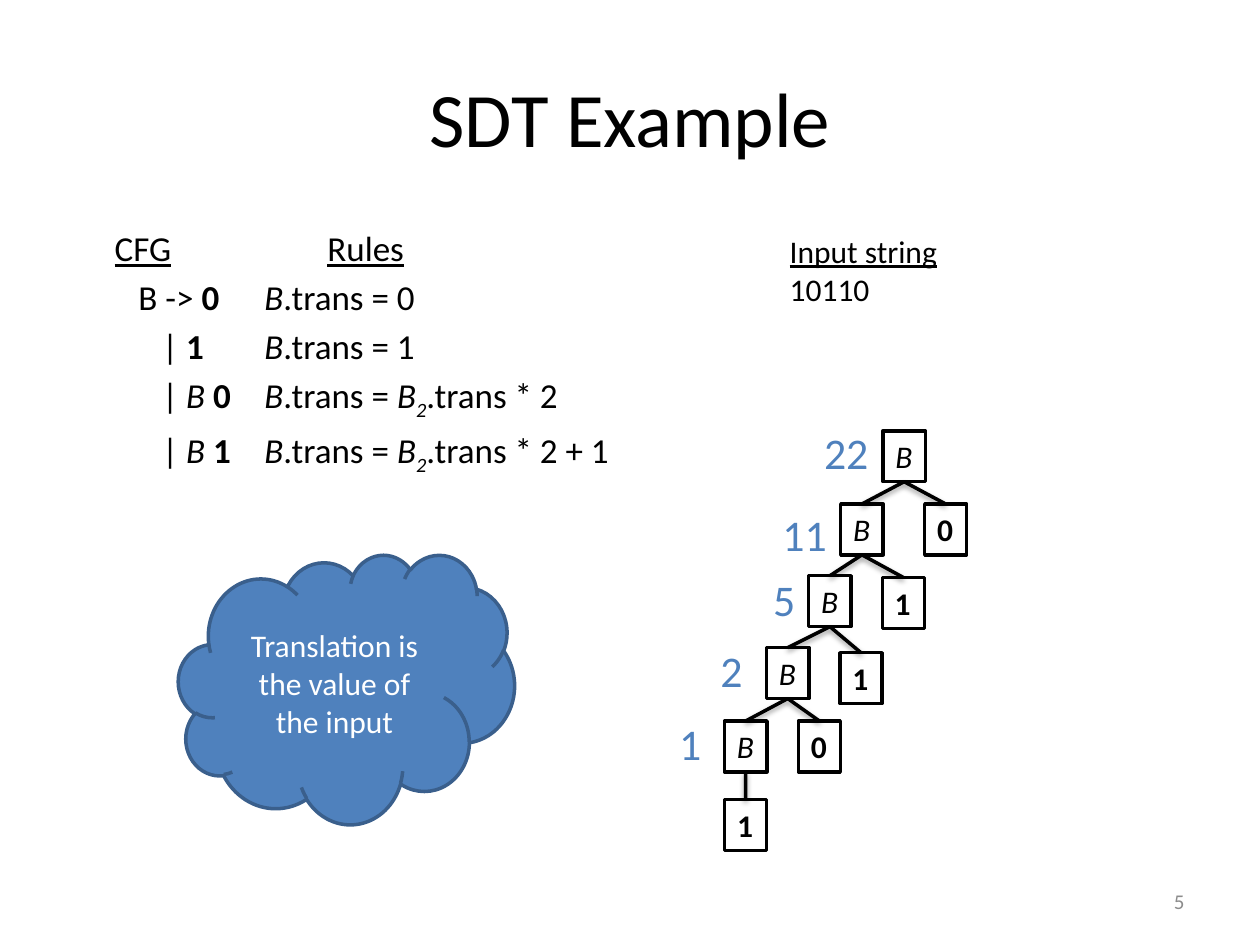
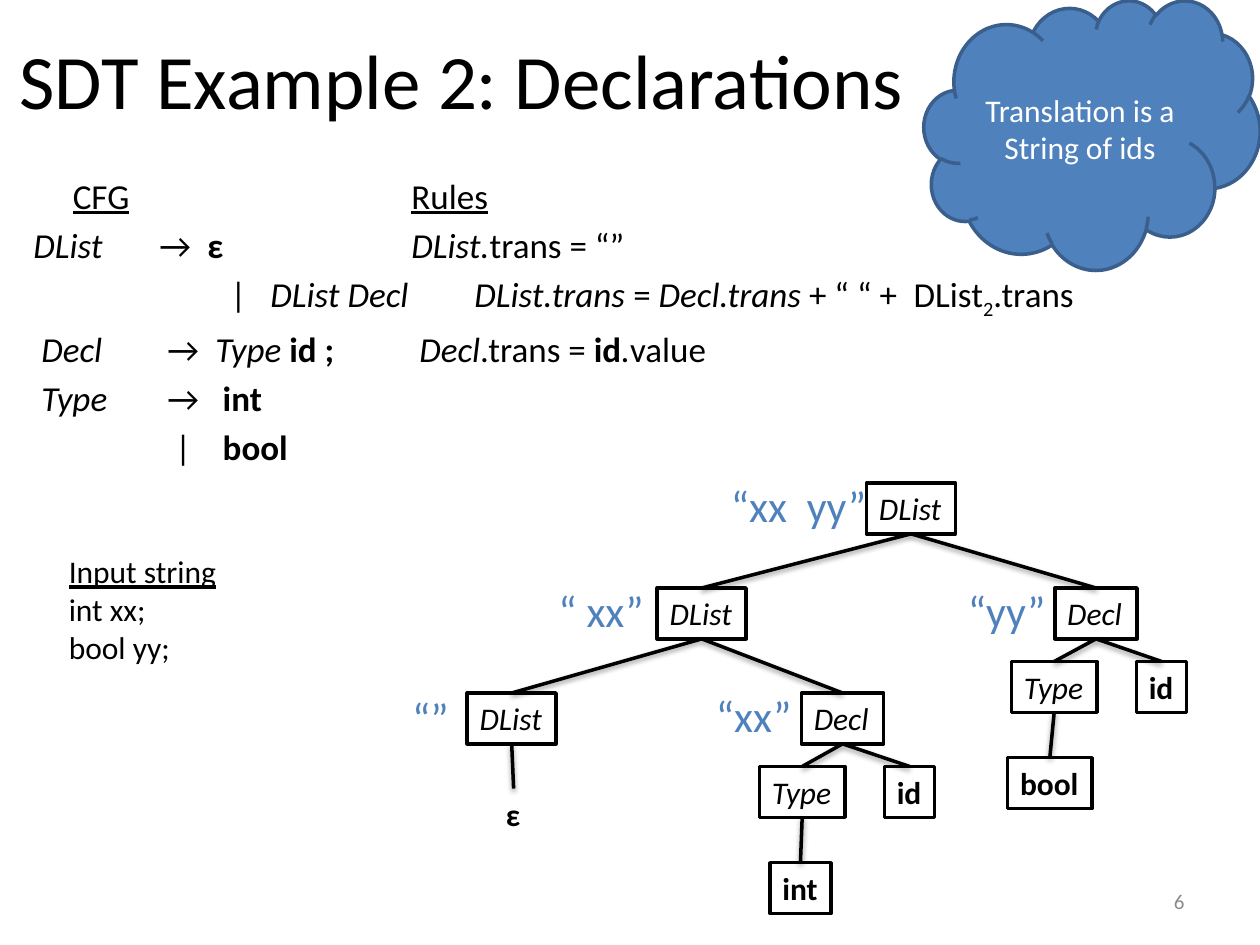
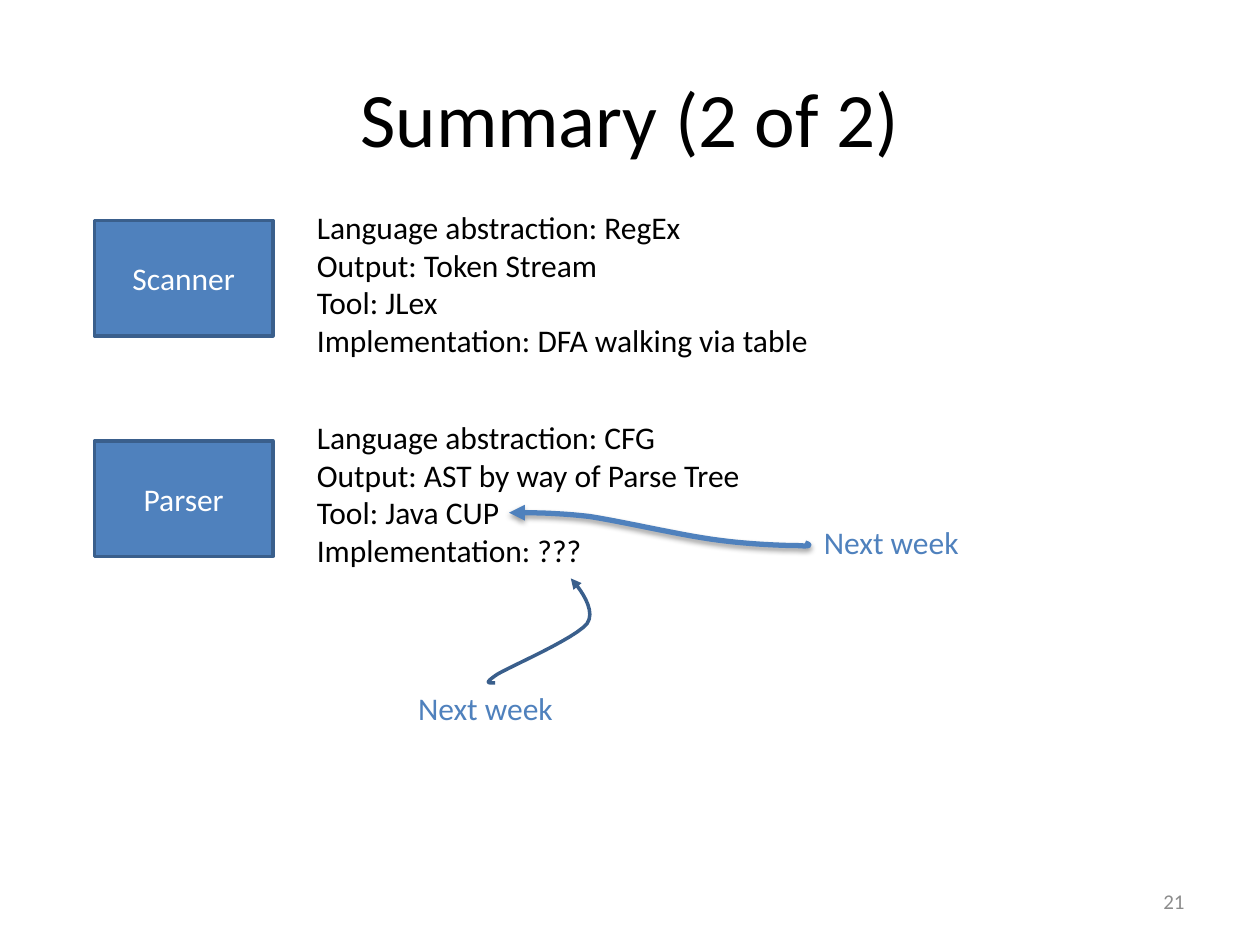
"""Build three slides on syntax-directed translation: two parse-tree examples and a summary."""
from pptx import Presentation
from pptx.dml.color import RGBColor
from pptx.enum.shapes import MSO_CONNECTOR, MSO_SHAPE
from pptx.enum.text import MSO_ANCHOR, MSO_AUTO_SIZE, PP_ALIGN
from pptx.oxml import parse_xml
from pptx.util import Pt

FONT = "Calibri"
BLACK, WHITE, BLUE, DARK_BLUE, GRAY = "000000", "FFFFFF", "4F81BD", "3A5F8C", "8C8C8C"
NAMESPACE = 'xmlns:a="http://schemas.openxmlformats.org/drawingml/2006/main"'
SHADOW = (f'<a:effectLst {NAMESPACE}><a:outerShdw blurRad="39370" dist="20320" dir="5400000" rotWithShape="0">'
          '<a:srgbClr val="000000"><a:alpha val="38000"/></a:srgbClr></a:outerShdw></a:effectLst>')
ARROWHEAD = f'<a:tailEnd {NAMESPACE} type="triangle"/>'
NODE_HEIGHT = 29.08


def color(value):
    return RGBColor.from_string(value)


def write(frame, paragraphs, size, ink, align=PP_ALIGN.LEFT, anchor=MSO_ANCHOR.TOP, wrap=True):
    frame.word_wrap = wrap
    frame.auto_size = MSO_AUTO_SIZE.NONE if wrap else MSO_AUTO_SIZE.SHAPE_TO_FIT_TEXT
    frame.vertical_anchor = anchor
    for index, runs in enumerate(paragraphs):
        paragraph = frame.paragraphs[0] if index == 0 else frame.add_paragraph()
        paragraph.alignment = align
        for text, style in runs:
            run = paragraph.add_run()
            run.text = text
            run.font.name, run.font.size = FONT, Pt(size)
            run.font.color.rgb = color(ink)
            run.font.bold, run.font.italic = "b" in style, "i" in style
            run.font.underline = "u" in style
            if "s" in style:
                run._r.get_or_add_rPr().set("baseline", "-25000")


binary_rules = [
    ([22.5, 144], [("\t", ""), ("CFG", "u"), ("\t", ""), ("Rules", "u")]),
    ([36, 108], [("\tB -> ", ""), ("0\t", "b"), ("B", "i"), (".trans = 0", "")]),
    ([49.6, 108], [("\t| ", ""), ("1\t", "b"), ("B", "i"), (".trans = 1", "")]),
]
for digit, ending in (("0", ""), ("1", " + 1")):
    binary_rules.append(([49.6, 108], [
        ("\t| ", ""), ("B ", "i"), (digit + "\t", "b"), ("B", "i"), (".trans = ", ""),
        ("B", "i"), ("2", "is"), (".trans * 2" + ending, "")]))

declaration_rules = [
    ([22.5, 216], [("\t", ""), ("CFG", "u"), ("\t", ""), ("Rules", "u")]),
    ([72, 99.4, 216], [("DList", "i"), ("\t→\t", ""), ("ε\t", "b"), ("DList.", "i"), ("trans = “”", "")]),
    ([112.5, 135.4, 252, 503], [
        ("\t|\t", ""), ("DList Decl\tDList.trans ", "i"), ("= ", ""), ("Decl.trans", "i"),
        (" + “ “ +\tDList", ""), ("2", "s"), (".trans", "")]),
    ([4.5, 76.5, 104, 220.5], [
        ("\tDecl", "i"), ("\t→\t", ""), ("Type ", "i"), ("id ;\t", "b"), ("Decl", "i"),
        (".trans = ", ""), ("id", "b"), (".", "i"), ("value", "")]),
    ([4.5, 76.5, 108.2], [("\tType", "i"), ("\t→\t", ""), ("int", "b")]),
    ([81, 108.2], [("\t|\t", ""), ("bool", "b")]),
]

examples = [
    {
        "title": "SDT Example", "title_at": (36, 21.6), "number": "5",
        "rules": binary_rules, "rules_at": (36, 126, 402, 356),
        "input": ["10110"], "input_at": (444.2, 128.9, 99.4, 51),
        "cloud": "Translation is the value of the input", "cloud_at": (102, 316.8),
        "nodes": [
            ("B", "i", 504.5, 246.2, 24.3), ("B", "i", 480.4, 288, 24.3), ("B", "i", 462.1, 329, 24.3),
            ("B", "i", 438, 370.1, 24.3), ("B", "i", 414, 412, 24.3), ("1", "b", 414.1, 457, 24),
            ("0", "b", 456.2, 412, 24), ("1", "b", 480, 373, 24), ("1", "b", 504.2, 330, 24),
            ("0", "b", 528.4, 288, 24)],
        "edges": [(4, 5), (3, 4), (3, 6), (2, 3), (2, 7), (1, 2), (1, 8), (0, 1), (0, 9)],
        "values": [("1", 381, 406, 27), ("2", 404.6, 364.2, 27), ("5", 434.7, 324, 27),
                   ("11", 440, 286.5, 40), ("22", 463.8, 239.8, 40)],
    },
    {
        "title": "SDT Example 2: Declarations", "title_at": (-60, 0), "number": "6",
        "rules": declaration_rules, "rules_at": (12, 96, 696, 356),
        "input": ["int xx;", "bool yy;"], "input_at": (32.2, 312, 99.4, 72.7),
        "cloud": "Translation is a String of ids", "cloud_at": (528, 0),
        "nodes": [
            ("DList", "i", 495.2, 276, 50.8), ("DList", "i", 375.6, 336, 50.8), ("DList", "i", 267, 396, 50.8),
            ("Decl", "i", 458, 396, 47), ("Decl", "i", 602.8, 336, 47), ("ε", "b", 282, 450.6, 23),
            ("Type", "i", 578, 378, 48.8), ("id", "b", 649.4, 378, 28.8), ("bool", "b", 575.8, 433, 48.2),
            ("Type", "i", 434, 438, 48.8), ("id", "b", 505.4, 438, 28.8), ("int", "b", 440, 493, 34.8)],
        "edges": [(2, 5), (1, 2), (1, 3), (0, 1), (0, 4), (4, 7), (4, 6), (6, 8), (3, 10), (3, 9), (9, 11)],
        "values": [("“”", 228.5, 391, 36), ("“ xx”", 312, 330, 64), ("“xx  yy”", 410.6, 270, 92.7),
                   ("“xx”", 402, 390, 58), ("“yy”", 546, 330, 60)],
    },
    {"title": "Summary (2 of 2)", "title_at": (36, 21.6), "number": "21"},
]

presentation = Presentation()
presentation.slide_width, presentation.slide_height = Pt(720), Pt(540)

for example in examples:
    slide = presentation.slides.add_slide(presentation.slide_layouts[5])
    shapes = slide.shapes
    title = shapes.title
    title.left, title.top = [Pt(value) for value in example["title_at"]]
    title.width, title.height = Pt(648), Pt(90)
    write(title.text_frame, [[(example["title"], "")]], 44, BLACK, PP_ALIGN.CENTER, MSO_ANCHOR.MIDDLE)
    number = shapes.add_textbox(Pt(516), Pt(500.5), Pt(168), Pt(28.75))
    write(number.text_frame, [[(example["number"], "")]], 12, GRAY, PP_ALIGN.RIGHT, MSO_ANCHOR.MIDDLE)
    if "rules" not in example:
        continue

    rules = shapes.add_textbox(*[Pt(value) for value in example["rules_at"]])
    write(rules.text_frame, [runs for stops, runs in example["rules"]], 20, BLACK)
    for paragraph, (stops, runs) in zip(rules.text_frame.paragraphs, example["rules"]):
        paragraph.space_before = Pt(4)
        tabs = "".join(f'<a:tab pos="{Pt(stop)}" algn="l"/>' for stop in stops)
        paragraph._p.get_or_add_pPr().append(parse_xml(f"<a:tabLst {NAMESPACE}>{tabs}</a:tabLst>"))

    input_box = shapes.add_textbox(*[Pt(value) for value in example["input_at"]])
    lines = [[("Input string", "u")]] + [[(line, "")] for line in example["input"]]
    write(input_box.text_frame, lines, 18, BLACK, wrap=False)

    nodes = []
    for text, style, left, top, width in example["nodes"]:
        box = (Pt(left), Pt(top), Pt(width), Pt(NODE_HEIGHT))
        if text == "ε":
            node = shapes.add_textbox(*box)
        else:
            node = shapes.add_shape(MSO_SHAPE.RECTANGLE, *box)
            node.shadow.inherit = False
            node.fill.solid()
            node.fill.fore_color.rgb = color(WHITE)
            node.line.color.rgb = color(BLACK)
            node.line.width = Pt(2)
        write(node.text_frame, [[(text, style)]], 18, BLACK, wrap=False)
        nodes.append(node)

    for parent, child in example["edges"]:
        edge = shapes.add_connector(MSO_CONNECTOR.STRAIGHT, 0, 0, 0, 0)
        edge.begin_connect(nodes[parent], 2)
        edge.end_connect(nodes[child], 0)
        edge.line.color.rgb = color(BLACK)
        edge.line.width = Pt(2)
        edge._element.spPr.append(parse_xml(SHADOW))

    for text, left, top, width in example["values"]:
        value_label = shapes.add_textbox(Pt(left), Pt(top), Pt(width), Pt(37.5))
        write(value_label.text_frame, [[(text, "")]], 25, BLUE, wrap=False)

    cloud_left, cloud_top = example["cloud_at"]
    cloud = shapes.add_shape(MSO_SHAPE.CLOUD, Pt(cloud_left), Pt(cloud_top), Pt(192), Pt(154))
    cloud.shadow.inherit = False
    cloud.fill.solid()
    cloud.fill.fore_color.rgb = color(BLUE)
    cloud.line.color.rgb = color(DARK_BLUE)
    cloud.line.width = Pt(2)
    write(cloud.text_frame, [[(example["cloud"], "")]], 18, WHITE, PP_ALIGN.CENTER, MSO_ANCHOR.MIDDLE)

phases = [
    ("Scanner", 126, 115.2, 298.8, ["RegEx", "Token Stream", "JLex", "DFA walking via table"]),
    ("Parser", 252, 235.2, 259.2, ["CFG", "AST by way of Parse Tree", "Java CUP", "???"]),
]
topics = ["Language abstraction", "Output", "Tool", "Implementation"]
for name, top, facts_top, facts_width, facts in phases:
    phase = shapes.add_shape(MSO_SHAPE.RECTANGLE, Pt(54), Pt(top), Pt(102), Pt(66))
    phase.shadow.inherit = False
    phase.fill.solid()
    phase.fill.fore_color.rgb = color(BLUE)
    phase.line.color.rgb = color(DARK_BLUE)
    phase.line.width = Pt(2)
    write(phase.text_frame, [[(name, "")]], 18, WHITE, PP_ALIGN.CENTER, MSO_ANCHOR.MIDDLE)
    facts_box = shapes.add_textbox(Pt(174), Pt(facts_top), Pt(facts_width), Pt(94.5))
    lines = [[(f"{topic}: {fact}", "")] for topic, fact in zip(topics, facts)]
    write(facts_box.text_frame, lines, 18, BLACK, wrap=False)

arrows = [
    (BLUE, 3, (463.7, 295.2), [
        [(460.1, 310.3), (462.2, 311), (465.1, 312.5), (455.8, 311.8)],
        [(455.8, 311.8), (447.1, 311.8), (426.2, 311), (406.8, 308.2)],
        [(406.8, 308.2), (386.6, 305.3), (355.7, 298.1), (337, 295.2)],
        [(337, 295.2), (317.5, 293), (304.6, 293), (290.9, 293)]]),
    (DARK_BLUE, 2, (231.8, 390.2), [
        [(283, 390.2), (279.4, 390.2), (275.8, 391), (284.4, 385.2)],
        [(284.4, 385.2), (293, 380.2), (328.3, 365), (335.5, 356.4)],
        [(335.5, 356.4), (342, 347), (326.2, 330.5), (326.2, 330.5)]]),
]
STEPS = 12
for ink, width, (label_left, label_top), curves in arrows:
    start_x, start_y = curves[0][0]
    points = []
    for curve in curves:
        for step in range(1, STEPS + 1):
            t = step / STEPS
            weights = ((1 - t) ** 3, 3 * t * (1 - t) ** 2, 3 * t ** 2 * (1 - t), t ** 3)
            points.append([Pt(sum(weight * point[axis] for weight, point in zip(weights, curve)))
                           for axis in (0, 1)])
    builder = shapes.build_freeform(Pt(start_x), Pt(start_y))
    builder.add_line_segments(points, close=False)
    arrow = builder.convert_to_shape()
    arrow.fill.background()
    arrow.line.color.rgb = color(ink)
    arrow.line.width = Pt(width)
    arrow.line._get_or_add_ln().append(parse_xml(ARROWHEAD))
    if ink == BLUE:
        arrow._element.spPr.append(parse_xml(SHADOW))
    else:
        arrow.shadow.inherit = False
    label = shapes.add_textbox(Pt(label_left), Pt(label_top), Pt(92.2), Pt(NODE_HEIGHT))
    write(label.text_frame, [[("Next week", "")]], 18, BLUE, wrap=False)

presentation.save("out.pptx")
